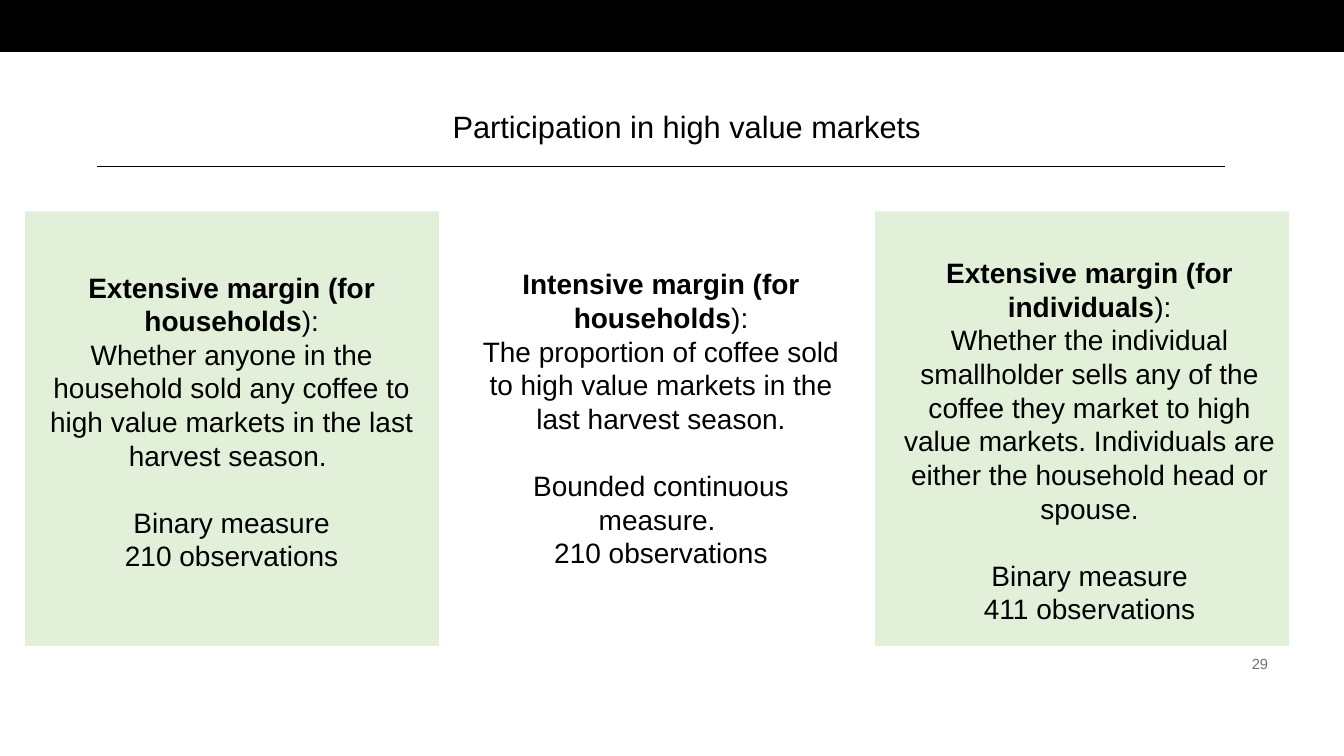
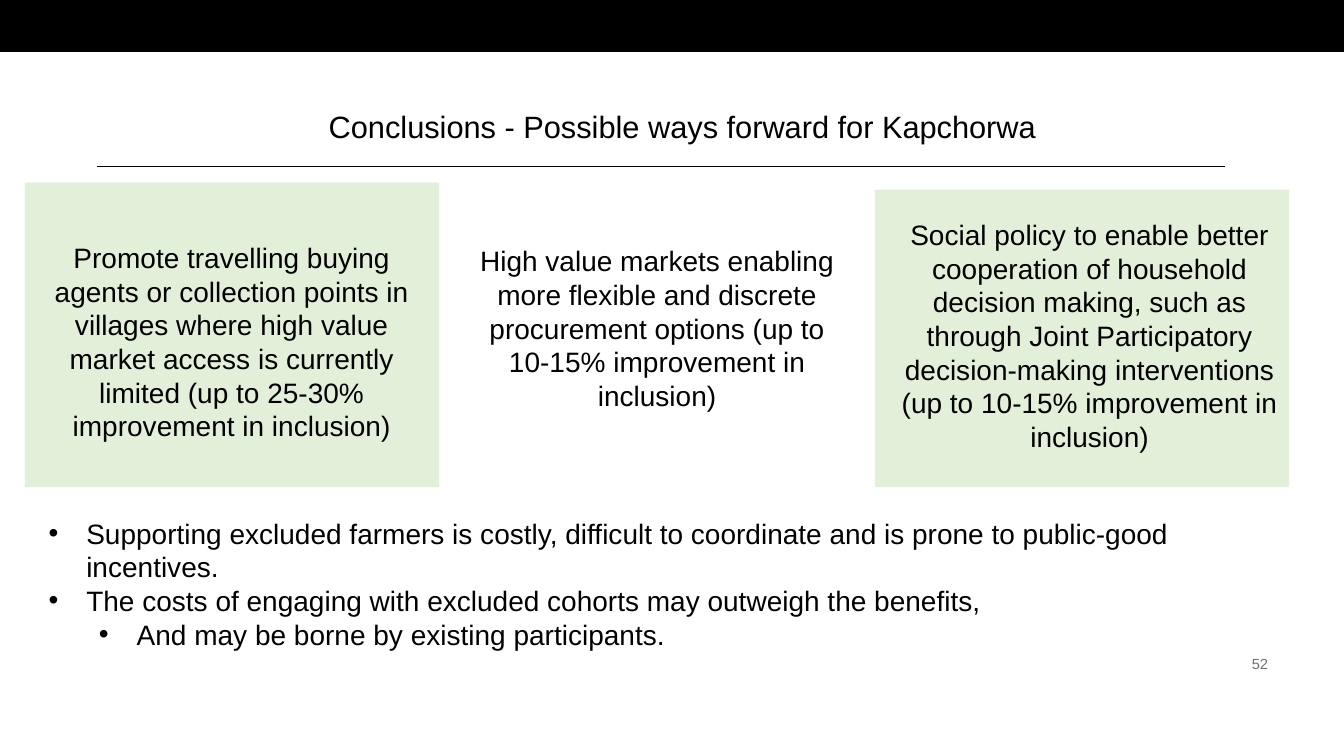
from lxml import etree
from pptx import Presentation
from pptx.dml.color import RGBColor
from pptx.enum.shapes import MSO_CONNECTOR, MSO_SHAPE
from pptx.enum.text import MSO_ANCHOR, MSO_AUTO_SIZE, PP_ALIGN
from pptx.oxml.ns import qn
from pptx.util import Cm, Pt

BLACK, GREEN, GREY = "000000", "E2F0D9", "767171"
FONT = "Arial"
TITLE_ONLY, TITLE_AND_BODY = 5, 1
SLIDE_WIDTH, SLIDE_HEIGHT = 33.87, 19.05
BODY_SIZE, BODY_LEADING = 20, 24
PANEL_WIDTH, TEXT_WIDTH = 10.44, 10.06
INDENT, LEVEL_STEP = 0.95, 1.27


def colour(hex_code):
    return RGBColor.from_string(hex_code)


def place(shape, left, top, width, height):
    shape.left, shape.top = Cm(left), Cm(top)
    shape.width, shape.height = Cm(width), Cm(height)


def set_frame(shape, anchor=MSO_ANCHOR.TOP):
    frame = shape.text_frame
    frame.word_wrap = True
    frame.auto_size = MSO_AUTO_SIZE.NONE
    frame.vertical_anchor = anchor
    return frame


def style(para, align, size=BODY_SIZE, leading=BODY_LEADING, ink=BLACK):
    para.alignment = align
    para.line_spacing = Pt(leading)
    para.space_before = para.space_after = Pt(0)
    para.font.name, para.font.size = FONT, Pt(size)
    para.font.color.rgb = colour(ink)


def paragraphs(frame, count):
    """Return the frame's first paragraph and as many new ones as needed."""
    return [frame.paragraphs[0]] + [frame.add_paragraph() for _ in range(count - 1)]


def add_rectangle(shapes, box, fill):
    rectangle = shapes.add_shape(MSO_SHAPE.RECTANGLE, *map(Cm, box))
    rectangle.shadow.inherit = False
    rectangle.fill.solid()
    rectangle.fill.fore_color.rgb = colour(fill)
    rectangle.line.fill.background()
    return rectangle


def add_page(deck, layout, title, number):
    """Add a slide with the band, title, rule and slide number."""
    page = deck.slides.add_slide(deck.slide_layouts[layout])

    # Top band
    band = add_rectangle(page.shapes, (0, 0, SLIDE_WIDTH, 1.3), BLACK)
    band.line.color.rgb = colour(BLACK)
    band.line.width = Pt(1)

    # Title
    heading = page.shapes.title
    place(heading, 4.06, 2.59, 26.49, 1.19)
    frame = set_frame(heading)
    frame.text = title
    style(frame.paragraphs[0], PP_ALIGN.CENTER, 22, 26)

    # Rule below the title
    rule = page.shapes.add_connector(
        MSO_CONNECTOR.STRAIGHT, Cm(2.44), Cm(4.19), Cm(30.86), Cm(4.19))
    rule.line.color.rgb = colour(BLACK)
    rule.line.width = Pt(0.5)
    etree.SubElement(rule.element.spPr, qn("a:effectLst"))

    # Slide number
    box = page.shapes.add_textbox(Cm(28.04), Cm(16.38), Cm(4.17), Cm(0.69))
    frame = set_frame(box, MSO_ANCHOR.MIDDLE)
    frame.text = str(number)
    style(frame.paragraphs[0], PP_ALIGN.RIGHT, 10.5, 12.5, GREY)
    return page


def add_card(page, text_left, text_top, bottom, lines, heading="", panel=None):
    """Add centred text, grouped with a green panel if its left and top are given."""
    shapes = page.shapes
    if panel:
        left, top = panel
        shapes = page.shapes.add_group_shape().shapes
        add_rectangle(shapes, (left, top, PANEL_WIDTH, bottom - top), GREEN)
    box = shapes.add_textbox(
        Cm(text_left), Cm(text_top), Cm(TEXT_WIDTH), Cm(bottom - text_top))
    paras = paragraphs(set_frame(box), len(lines) + bool(heading))
    for para in paras:
        style(para, PP_ALIGN.CENTER)
    if heading:
        span = paras[0].add_run()
        span.text = heading
        span.font.bold = True
        paras[0].add_run().text = "):"
        # One line of space before the measure
        paras[2].space_before = Pt(BODY_LEADING)
    for para, line in zip(paras[bool(heading):], lines):
        para.add_run().text = line


def add_bullets(page, box, items):
    """Fill the body placeholder with (level, text) items."""
    body = page.placeholders[1]
    place(body, *box)
    for para, (level, line) in zip(paragraphs(set_frame(body), len(items)), items):
        para.text, para.level = line, level
        style(para, PP_ALIGN.LEFT)
        properties = para._p.get_or_add_pPr()
        properties.set("marL", str(Cm(INDENT + level * LEVEL_STEP)))
        properties.set("indent", str(-Cm(INDENT)))
        etree.SubElement(properties, qn("a:buFont")).set("typeface", FONT)
        bullet = etree.SubElement(properties, qn("a:buChar"))
        bullet.set("char", "•")
        # Bullets come before the default run properties
        defaults = properties.find(qn("a:defRPr"))
        if defaults is not None:
            properties.append(defaults)


def build_participation(deck):
    page = add_page(deck, TITLE_ONLY, "Participation in high value markets", 29)
    top, bottom = 5.33, 16.28
    add_card(page, 0.81, 6.68, bottom, [
        "Whether anyone in the household sold any coffee to high value markets "
        "in the last harvest season. ",
        "Binary measure", "210 observations",
    ], "Extensive margin (for households", (0.63, top))
    add_card(page, 11.63, 6.6, bottom, [
        "The proportion of coffee sold to high value markets in the last harvest season.",
        "Bounded continuous measure. ", "210 observations",
    ], "Intensive margin (for households")
    add_card(page, 22.43, 6.32, bottom, [
        "Whether the individual smallholder sells any of the coffee they market to "
        "high value markets. Individuals are either the household head or spouse.",
        "Binary measure", "411 observations",
    ], "Extensive margin (for individuals", (22.05, top))


def build_conclusions(deck):
    page = add_page(deck, TITLE_AND_BODY,
                    "Conclusions - Possible ways forward for Kapchorwa ", 52)
    bottom = 12.27
    add_card(page, 0.81, 5.94, bottom, [
        "Promote travelling buying agents or collection points in villages where high "
        "value market access is currently limited (up to 25-30% improvement in inclusion)",
    ], panel=(0.63, 4.6))
    add_card(page, 11.53, 6.02, bottom, [
        "High value markets enabling more flexible and discrete procurement options "
        "(up to 10-15% improvement in inclusion)",
    ])
    add_card(page, 22.43, 5.36, bottom, [
        "Social policy to enable better cooperation of household decision making, such as "
        "through Joint Participatory decision-making interventions "
        "(up to 10-15% improvement in inclusion)",
    ], panel=(22.05, 4.78))
    add_bullets(page, (0.97, 12.88, 32.08, 3.68), [
        (0, "Supporting excluded farmers is costly, difficult to coordinate and is prone "
            "to public-good incentives."),
        (0, "The costs of engaging with excluded cohorts may outweigh the benefits,"),
        (1, "And may be borne by existing participants."),
    ])


def main():
    deck = Presentation()
    deck.slide_width, deck.slide_height = Cm(SLIDE_WIDTH), Cm(SLIDE_HEIGHT)
    build_participation(deck)
    build_conclusions(deck)
    deck.save("out.pptx")


if __name__ == "__main__":
    main()
